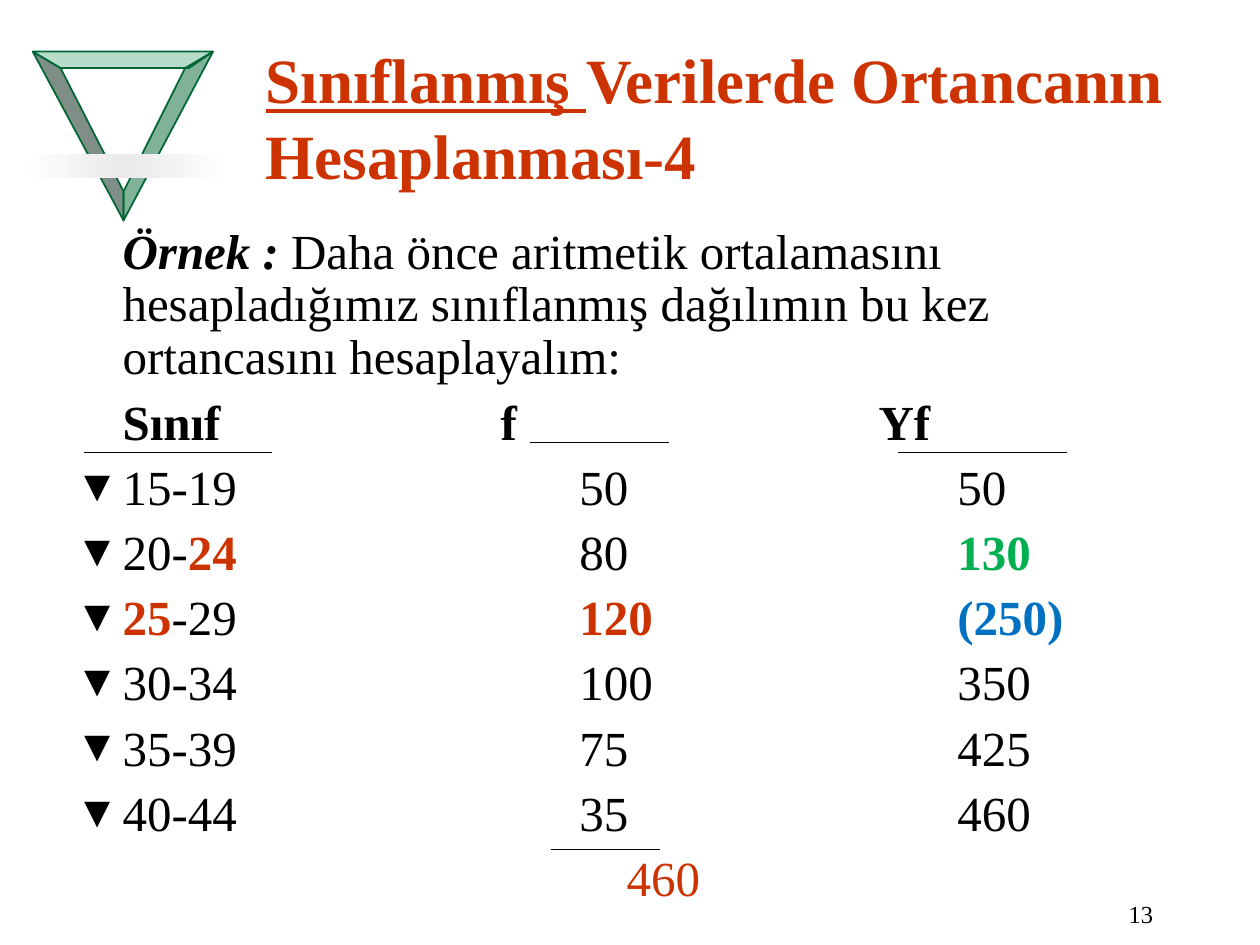
from copy import deepcopy
from lxml.etree import SubElement
from pptx import Presentation
from pptx.dml.color import RGBColor
from pptx.enum.shapes import MSO_CONNECTOR, MSO_SHAPE
from pptx.enum.text import MSO_ANCHOR, PP_ALIGN
from pptx.oxml.ns import qn
from pptx.util import Pt

BLACK = RGBColor(0x00, 0x00, 0x00)
WHITE = RGBColor(0xFF, 0xFF, 0xFF)
RED = RGBColor(0xCC, 0x33, 0x00)
GREEN = RGBColor(0x00, 0xB0, 0x50)
BLUE = RGBColor(0x00, 0x70, 0xC0)
DARK_GREEN = RGBColor(0x00, 0x66, 0x33)
LIGHT_GREEN = RGBColor(0x71, 0xBB, 0x96)
DEEP_GREEN = RGBColor(0x00, 0x20, 0x10)
SILVER = RGBColor(0xEA, 0xEA, 0xEA)


def write(paragraph, text, size=28, color=BLACK, bold=False, italic=False, underline=False):
    run = paragraph.add_run()
    run.text = text
    font = run.font
    font.name = "Times New Roman"
    font.size = Pt(size)
    font.color.rgb = color
    font.bold = bold
    font.italic = italic
    font.underline = underline


def set_layout(paragraph, tabs, bulleted):
    properties = paragraph._p.get_or_add_pPr()
    if bulleted or not tabs:
        properties.set("marL", str(Pt(27)))
        properties.set("indent", str(Pt(-27 if bulleted else 0)))
    if bulleted:
        bullet_color = SubElement(properties, qn("a:buClr"))
        SubElement(bullet_color, qn("a:srgbClr"), val=str(BLACK))
        SubElement(properties, qn("a:buSzPct"), val="90000")
        SubElement(properties, qn("a:buFont"), typeface="Times New Roman")
        SubElement(properties, qn("a:buChar"), char="▼")
    if tabs:
        tab_list = SubElement(properties, qn("a:tabLst"))
        for tab in tabs:
            SubElement(tab_list, qn("a:tab"), pos=str(Pt(tab)), algn="l")


presentation = Presentation()
presentation.slide_width = Pt(720)
presentation.slide_height = Pt(540)
slide = presentation.slides.add_slide(presentation.slide_layouts[5])
shapes = slide.shapes

outer_left, outer_right, tip = (18.7, 29.5), (121.7, 29.5), (70.6, 126)
inner_tip = (70.6, 109.4)
triangle_sides = [
    (DEEP_GREEN, [tip, inner_tip, (34.6, 38.9), outer_left]),
    (LIGHT_GREEN, [outer_left, (34.6, 38.9), (108, 38.9), outer_right]),
    (DARK_GREEN, [tip, inner_tip, (105.8, 38.9), outer_right]),
]
for color, corners in triangle_sides:
    start, *others = [(Pt(x), Pt(y)) for x, y in corners]
    builder = shapes.build_freeform(*start, scale=1.0)
    builder.add_line_segments(others, close=True)
    side = builder.convert_to_shape()
    side.shadow.inherit = False
    side.fill.solid()
    side.fill.fore_color.rgb = color
    SubElement(side.fill._xPr.find(".//" + qn("a:srgbClr")), qn("a:alpha"), val="50000")
    side.line.color.rgb = DARK_GREEN
    side.line.width = Pt(1)

band = shapes.add_shape(MSO_SHAPE.RECTANGLE, Pt(12.2), Pt(87.8), Pt(119.5), Pt(13.7))
band.shadow.inherit = False
band.line.fill.background()
band.fill.gradient()
band.fill.gradient_angle = 0
stop_list = band._element.spPr.find(".//" + qn("a:gsLst"))
stop_list.insert(1, deepcopy(stop_list[0]))
for stop, color, position in zip(band.fill.gradient_stops, (WHITE, SILVER, WHITE), (0, 0.5, 1)):
    stop.color.rgb = color
    stop.position = position

title = shapes.title
title.left, title.top, title.width, title.height = Pt(144.7), Pt(15), Pt(558), Pt(103)
title.text_frame.vertical_anchor = MSO_ANCHOR.MIDDLE
heading = title.text_frame.paragraphs[0]
heading.alignment = PP_ALIGN.LEFT
write(heading, "Sınıflanmış ", size=36, color=RED, bold=True, underline=True)
write(heading, "Verilerde Ortancanın Hesaplanması-4", size=36, color=RED, bold=True)

page = shapes.add_textbox(Pt(516.2), Pt(504), Pt(149.8), Pt(36)).text_frame
page.word_wrap = True
page.vertical_anchor = MSO_ANCHOR.MIDDLE
page.paragraphs[0].alignment = PP_ALIGN.RIGHT
write(page.paragraphs[0], "13", size=14)

red_bold = {"color": RED, "bold": True}
header_tabs, row_tabs, total_tabs = (27, 243, 459), (288, 504), (315,)
content = [
    ((), False, [
        ("Örnek :", {"bold": True, "italic": True}),
        (" Daha önce aritmetik ortalamasını hesapladığımız sınıflanmış dağılımın "
         "bu kez ortancasını hesaplayalım:", {}),
    ]),
    (header_tabs, False, [("\tSınıf\tf\tYf", {"bold": True})]),
    (row_tabs, True, [("15-19\t50\t50", {})]),
    (row_tabs, True, [("20-", {}), ("24", red_bold), ("\t80\t", {}),
                      ("130", {"color": GREEN, "bold": True})]),
    (row_tabs, True, [("25", red_bold), ("-29\t", {}), ("120\t", red_bold),
                      ("(250)", {"color": BLUE, "bold": True})]),
    (row_tabs, True, [("30-34\t100\t350", {})]),
    (row_tabs, True, [("35-39\t75\t425", {})]),
    (row_tabs, True, [("40-44\t35\t460", {})]),
    (total_tabs, False, [("\t460", {"color": RED})]),
]
example = shapes.add_textbox(Pt(36), Pt(126), Pt(648), Pt(414)).text_frame
example.word_wrap = True
for index, (tabs, bulleted, runs) in enumerate(content):
    paragraph = example.add_paragraph() if index else example.paragraphs[0]
    set_layout(paragraph, tabs, bulleted)
    paragraph.line_spacing = 0.9
    paragraph.space_before = Pt(7 if index else 0)
    for text, style in runs:
        write(paragraph, text, **style)

rules = [(314.6, 377.3, 485.3), (48.2, 155.5, 258.5), (303.1, 382.3, 252.7), (513.4, 609.8, 258.5)]
for left, right, y in rules:
    rule = shapes.add_connector(MSO_CONNECTOR.STRAIGHT, Pt(left), Pt(y), Pt(right), Pt(y))
    rule.line.color.rgb = BLACK
    rule.line.width = Pt(0.75)
    SubElement(rule._element.spPr, qn("a:effectLst"))

presentation.save("out.pptx")
